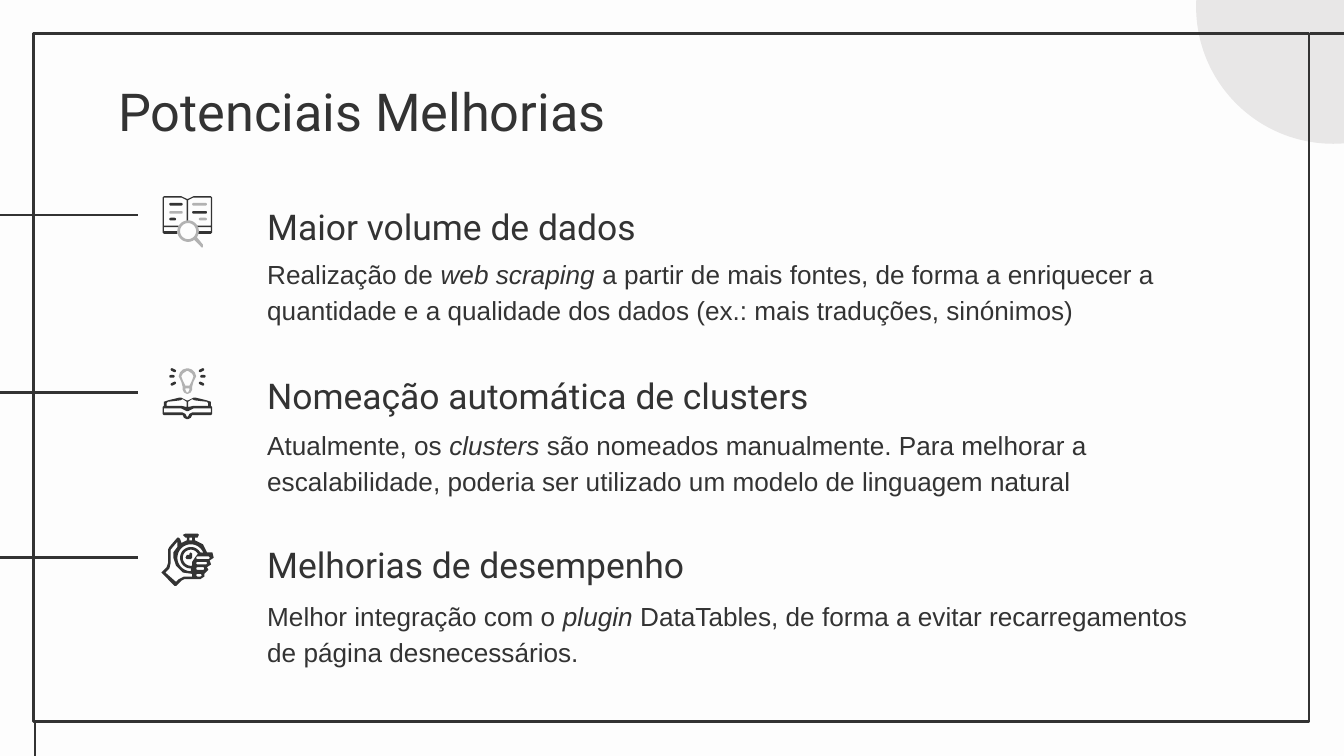
import math

from lxml import etree
from pptx import Presentation
from pptx.dml.color import RGBColor
from pptx.enum.shapes import MSO_CONNECTOR, MSO_SHAPE
from pptx.enum.text import MSO_ANCHOR, MSO_AUTO_SIZE, PP_ALIGN
from pptx.oxml.ns import qn
from pptx.util import Inches, Pt

COLORS = {"paper": "FDFDFD", "ink": "333333", "accent": "B2B2B2", "circle": "E8E7E7"}
TOP, BOTTOM = MSO_ANCHOR.TOP, MSO_ANCHOR.BOTTOM
LEFT = PP_ALIGN.LEFT
NO_FIT = MSO_AUTO_SIZE.NONE
RECTANGLE, OVAL = MSO_SHAPE.RECTANGLE, MSO_SHAPE.OVAL
STRAIGHT = MSO_CONNECTOR.STRAIGHT
ICON_SPAN = 2.79
SLIDE_WIDTH = 10
SLIDE_HEIGHT = SLIDE_WIDTH * 9 / 16

IMPROVEMENTS = [
    ("Maior volume de dados",
     ["Realização de ", "web scraping",
      " a partir de mais fontes, de forma a enriquecer a quantidade e a qualidade "
      "dos dados (ex.: mais traduções, sinónimos)"]),
    ("Nomeação automática de clusters",
     ["Atualmente, os ", "clusters ",
      "são nomeados manualmente. Para melhorar a escalabilidade, poderia ser "
      "utilizado um modelo de linguagem natural"]),
    ("Melhorias de desempenho",
     ["Melhor integração com o ", "plugin ",
      "DataTables, de forma a evitar recarregamentos de página desnecessários."]),
]


def rgb(name):
    return RGBColor.from_string(COLORS[name])


def write(frame, runs, size=14, font="Arial", color="ink", anchor=TOP, spacing=1.0):
    frame.word_wrap = True
    frame.auto_size = NO_FIT
    frame.vertical_anchor = anchor
    frame.margin_left = frame.margin_right = Inches(0.1)
    frame.margin_top = frame.margin_bottom = Inches(0.1)
    paragraph = frame.paragraphs[0]
    paragraph.alignment = LEFT
    paragraph.line_spacing = spacing
    for index, text in enumerate(runs):
        run = paragraph.add_run()
        run.text = text
        run.font.size = Pt(size)
        run.font.name = font
        run.font.italic = index % 2 == 1
        run.font.color.rgb = rgb(color)


def mirror(points):
    return [(ICON_SPAN - x, y) for x, y in reversed(points)]


def symmetric(half):
    return half + mirror(half)


def arc(x, y, radius, start=0, end=360, steps=32):
    angles = [math.radians(start + (end - start) * i / steps) for i in range(steps + 1)]
    return [(x + radius * math.cos(a), y + radius * math.sin(a)) for a in angles]


def capsule(x1, y1, x2, y2, width=0.02):
    turn = math.degrees(math.atan2(y2 - y1, x2 - x1))
    return (arc(x1, y1, width / 2, turn + 90, turn + 270, 6)
            + arc(x2, y2, width / 2, turn - 90, turn + 90, 6))


class Deck:
    def __init__(self, width, height, line_width=1.5):
        self.presentation = Presentation()
        self.presentation.slide_width = Inches(width)
        self.presentation.slide_height = Inches(height)
        self.line_width = Pt(line_width)
        self.slide = self.presentation.slides.add_slide(self.presentation.slide_layouts[5])
        self.slide.background.fill.solid()
        self.slide.background.fill.fore_color.rgb = rgb("paper")

    def title(self, text, left, top, width, height):
        title = self.slide.shapes.title
        title.left, title.top = Inches(left), Inches(top)
        title.width, title.height = Inches(width), Inches(height)
        write(title.text_frame, [text], size=28, font="Roboto")

    def text(self, runs, left, top, width, height, **style):
        box = self.slide.shapes.add_textbox(*map(Inches, (left, top, width, height)))
        write(box.text_frame, runs, **style)

    def paint(self, shape, fill=None, line=None):
        shape.shadow.inherit = False
        if fill:
            shape.fill.solid()
            shape.fill.fore_color.rgb = rgb(fill)
        else:
            shape.fill.background()
        if line:
            shape.line.color.rgb = rgb(line)
            shape.line.width = self.line_width
        else:
            shape.line.fill.background()

    def shape(self, preset, left, top, width, height, **paint):
        box = map(Inches, (left, top, width, height))
        self.paint(self.slide.shapes.add_shape(preset, *box), **paint)

    def line(self, x1, y1, x2, y2):
        ends = map(Inches, (x1, y1, x2, y2))
        connector = self.slide.shapes.add_connector(STRAIGHT, *ends)
        connector.line.color.rgb = rgb("ink")
        connector.line.width = self.line_width
        etree.SubElement(connector._element.spPr, qn("a:effectLst"))

    def outline(self, *contours, fill="ink"):
        paths = [[(Inches(x), Inches(y)) for x, y in points] for points in contours]
        builder = self.slide.shapes.build_freeform(*paths[0][0])
        builder.add_line_segments(paths[0][1:])
        for path in paths[1:]:
            builder.move_to(*path[0])
            builder.add_line_segments(path[1:])
        self.paint(builder.convert_to_shape(), fill=fill)


def draw_book_search(deck):
    deck.outline(symmetric([
        (1.39, 1.48), (1.35, 1.46), (1.22, 1.46), (1.21, 1.47), (1.21, 1.73),
        (1.22, 1.74), (1.32, 1.74), (1.32, 1.72), (1.22, 1.72), (1.22, 1.69),
        (1.33, 1.69), (1.33, 1.68), (1.22, 1.68), (1.22, 1.47), (1.35, 1.47),
        (1.39, 1.49), (1.39, 1.65)]))
    rows = [(1.27, 1.35, 1.52, "ink"), (1.44, 1.53, 1.52, "accent"),
            (1.27, 1.35, 1.58, "accent"), (1.44, 1.53, 1.58, "ink"),
            (1.27, 1.3, 1.63, "ink"), (1.49, 1.53, 1.63, "accent")]
    for start, end, y, color in rows:
        deck.outline(capsule(start, y, end, y), fill=color)
    lens = arc(1.4, 1.72, 0.08, 55, 395)
    handle = [(1.51, 1.82), (1.51, 1.84), (1.5, 1.84)]
    deck.outline(lens + handle, arc(1.4, 1.72, 0.06), fill="accent")


def draw_book_idea(deck):
    page = [(1.36, 2.97), (1.39, 2.99), (1.39, 3.03), (1.35, 3.02),
            (1.24, 3.02), (1.24, 3), (1.25, 2.99), (1.34, 2.98)]
    deck.outline(
        symmetric([(1.39, 2.98), (1.35, 2.96), (1.33, 2.96), (1.25, 2.98),
                   (1.22, 2.99), (1.22, 3.02), (1.21, 3.03), (1.21, 3.08),
                   (1.22, 3.09), (1.36, 3.09), (1.37, 3.11), (1.39, 3.12)]),
        page, mirror(page),
        symmetric([(1.39, 3.06), (1.35, 3.04), (1.22, 3.04), (1.22, 3.07),
                   (1.36, 3.07), (1.38, 3.08), (1.39, 3.1)]))
    for ray in [(1.27, 2.8, 1.29, 2.8), (1.28, 2.75, 1.3, 2.76), (1.28, 2.86, 1.3, 2.85)]:
        points = capsule(*ray)
        deck.outline(points)
        deck.outline(mirror(points))
    deck.outline(
        symmetric([(1.39, 2.74), (1.36, 2.75), (1.34, 2.77), (1.33, 2.8), (1.35, 2.84),
                   (1.36, 2.88), (1.36, 2.9), (1.37, 2.92), (1.39, 2.93)]),
        symmetric([(1.39, 2.76), (1.36, 2.78), (1.35, 2.8), (1.36, 2.83),
                   (1.38, 2.87), (1.39, 2.87)]),
        symmetric([(1.39, 2.89), (1.38, 2.89), (1.38, 2.9), (1.39, 2.92)]),
        fill="accent")


def draw_stopwatch_hand(deck):
    silhouette = [
        (1.38, 3.97), (1.36, 3.98), (1.38, 4), (1.39, 4), (1.39, 4.02), (1.35, 4.04),
        (1.34, 4.01), (1.33, 4), (1.32, 4), (1.26, 4.07), (1.25, 4.09), (1.25, 4.19),
        (1.24, 4.22), (1.21, 4.25), (1.2, 4.26), (1.3, 4.36), (1.31, 4.36),
        (1.35, 4.32), (1.37, 4.31), (1.49, 4.31), (1.52, 4.29), (1.52, 4.27),
        (1.55, 4.24), (1.54, 4.22), (1.57, 4.2), (1.56, 4.17), (1.59, 4.15),
        (1.58, 4.11), (1.54, 4.11), (1.51, 4.05), (1.45, 4.02), (1.45, 4),
        (1.47, 4), (1.48, 3.98), (1.47, 3.97)]
    palm = [(1.32, 4.03), (1.32, 4.07), (1.29, 4.11), (1.29, 4.15), (1.31, 4.21),
            (1.36, 4.26), (1.43, 4.27), (1.43, 4.29), (1.37, 4.29), (1.33, 4.31),
            (1.31, 4.33), (1.23, 4.26), (1.26, 4.23), (1.27, 4.19), (1.27, 4.09)]
    crown = [(1.43, 4), (1.43, 4.02), (1.41, 4.02), (1.41, 4)]
    rim = arc(1.42, 4.15, 0.1, -22, -270) + arc(1.42, 4.15, 0.08, -270, -30)
    face = arc(1.42, 4.15, 0.06, 80, 330) + [(1.45, 4.15), (1.43, 4.18)]
    fingers = [capsule(1.47, y, tip, y, 0.02)
               for y, tip in [(4.15, 1.55), (4.19, 1.53), (4.23, 1.51), (4.28, 1.49)]]
    deck.outline(silhouette, crown, palm, rim, face, *fingers)
    deck.outline([(1.42, 4.11), (1.41, 4.12), (1.41, 4.13), (1.39, 4.13), (1.38, 4.15),
                  (1.39, 4.16), (1.42, 4.16), (1.43, 4.15), (1.43, 4.12)])


def main():
    deck = Deck(SLIDE_WIDTH, SLIDE_HEIGHT)
    deck.shape(OVAL, 8.9, -0.97, 2.04, 2.04, fill="circle")
    for y in (1.6, 2.92, 4.15):
        deck.line(0, y, 1.03, y)
    deck.shape(RECTANGLE, 0.25, 0.25, 9.49, 5.12, line="ink")
    deck.line(10.08, 0.25, 9.75, 0.25)
    deck.line(0.26, 5.38, 0.26, 5.72)
    deck.title("Potenciais Melhorias", 0.78, 0.49, 8.43, 0.63)
    for index, (heading, description) in enumerate(IMPROVEMENTS):
        deck.text(description, 1.89, 1.79 + 1.27 * index, 7.23, 0.58, spacing=1.15)
        deck.text([heading], 1.89, 1.36 + 1.26 * index, 7.23, 0.58,
                  size=19, font="Roboto", anchor=BOTTOM, spacing=1.15)
    draw_book_idea(deck)
    draw_book_search(deck)
    draw_stopwatch_hand(deck)
    deck.presentation.save("out.pptx")


if __name__ == "__main__":
    main()
